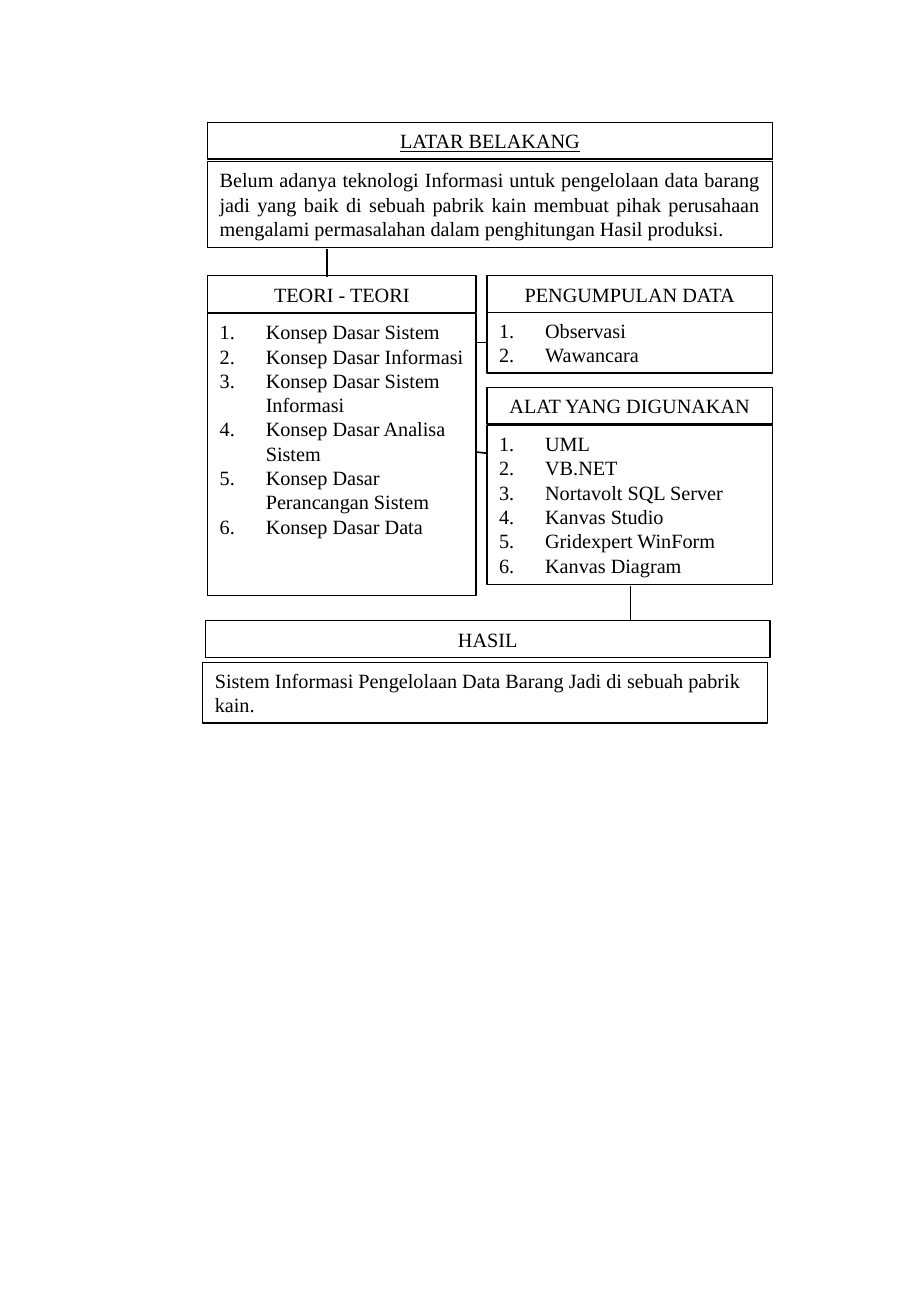
from lxml.etree import SubElement
from pptx import Presentation
from pptx.dml.color import RGBColor
from pptx.enum.shapes import MSO_CONNECTOR, MSO_SHAPE
from pptx.enum.text import MSO_ANCHOR, PP_ALIGN
from pptx.oxml.ns import qn
from pptx.util import Inches, Pt

FONT = "Times New Roman"
INK = "000000"
HEADER_HEIGHT = 0.3
LEFT, RIGHT_COLUMN, FULL_WIDTH = 1.71, 4.01, 4.65
LEFT_WIDTH, RIGHT_WIDTH = 2.21, 2.35

# Content: heading, body text or numbered list
BACKGROUND = ("LATAR BELAKANG",
              "Belum adanya teknologi Informasi untuk pengelolaan data barang "
              "jadi yang baik di sebuah pabrik kain membuat pihak perusahaan "
              "mengalami permasalahan dalam penghitungan Hasil produksi.")
THEORIES = ("TEORI - TEORI",
            ["Konsep Dasar Sistem", "Konsep Dasar Informasi",
             "Konsep Dasar Sistem Informasi", "Konsep Dasar Analisa Sistem",
             "Konsep Dasar Perancangan Sistem", "Konsep Dasar Data"])
COLLECTION = ("PENGUMPULAN DATA", ["Observasi", "Wawancara"])
TOOLS = ("ALAT YANG DIGUNAKAN",
         ["UML", "VB.NET", "Nortavolt SQL Server", "Kanvas Studio",
          "Gridexpert WinForm", "Kanvas Diagram"])
RESULT = ("HASIL",
          "Sistem Informasi Pengelolaan Data Barang Jadi di sebuah pabrik kain.")

# Sections: content, header left and top, body left, top and height, width, body alignment
SECTIONS = [
    (BACKGROUND, LEFT, 1.01, LEFT, 1.33, 0.71, FULL_WIDTH, PP_ALIGN.JUSTIFY),
    (THEORIES, LEFT, 2.27, LEFT, 2.58, 2.32, LEFT_WIDTH, PP_ALIGN.LEFT),
    (COLLECTION, RIGHT_COLUMN, 2.27, RIGHT_COLUMN, 2.57, 0.5, RIGHT_WIDTH, PP_ALIGN.LEFT),
    (TOOLS, RIGHT_COLUMN, 3.19, RIGHT_COLUMN, 3.5, 1.31, RIGHT_WIDTH, PP_ALIGN.LEFT),
    (RESULT, 1.69, 5.11, 1.67, 5.45, 0.5, FULL_WIDTH, PP_ALIGN.LEFT),
]

# Links: start x and y, end x and y
LINKS = [
    (2.69, 2.05, 2.69, 2.28),
    (3.92, 2.82, 4.01, 2.82),
    (3.92, 3.72, 4.01, 3.73),
    (5.19, 4.82, 5.19, 5.11),
]


def color(value):
    return RGBColor.from_string(value)


def number(paragraph):
    properties = paragraph._p.get_or_add_pPr()
    properties.set("marL", str(Inches(0.38)))
    properties.set("indent", str(-Inches(0.38)))
    SubElement(properties, qn("a:buFont")).set("typeface", "+mj-lt")
    SubElement(properties, qn("a:buAutoNum")).set("type", "arabicPeriod")


def write(frame, text, align=PP_ALIGN.LEFT, underline=False):
    numbered = isinstance(text, list)
    frame.word_wrap = True
    frame.vertical_anchor = MSO_ANCHOR.TOP
    frame.margin_right = Inches(0.07 if numbered else 0.1)
    lines = text if numbered else [text]
    for index, line in enumerate(lines):
        paragraph = frame.add_paragraph() if index else frame.paragraphs[0]
        paragraph.alignment = align
        if numbered:
            number(paragraph)
        run = paragraph.add_run()
        run.text = line
        run.font.name = FONT
        run.font.size = Pt(12)
        run.font.color.rgb = color(INK)
        if underline:
            run.font.underline = True


def add_box(left, top, width, height, text, **text_format):
    shape = slide.shapes.add_shape(MSO_SHAPE.RECTANGLE, Inches(left), Inches(top),
                                   Inches(width), Inches(height))
    shape.shadow.inherit = False
    shape.fill.background()
    shape.line.color.rgb = color(INK)
    shape.line.width = Pt(0.75)
    write(shape.text_frame, text, **text_format)


def add_link(*ends):
    connector = slide.shapes.add_connector(MSO_CONNECTOR.STRAIGHT,
                                           *(Inches(end) for end in ends))
    connector.line.color.rgb = color(INK)
    connector.line.width = Pt(1)
    SubElement(connector._element.spPr, qn("a:effectLst"))


presentation = Presentation()
presentation.slide_width = Inches(7.5)
presentation.slide_height = Inches(10.83)
slide = presentation.slides.add_slide(presentation.slide_layouts[6])

# Header and body of each section
for (heading, body), head_left, head_top, left, top, height, width, align in SECTIONS:
    add_box(head_left, head_top, width, HEADER_HEIGHT, heading,
            align=PP_ALIGN.CENTER, underline=heading == BACKGROUND[0])
    add_box(left, top, width, height, body, align=align)

# Lines between the sections
for link in LINKS:
    add_link(*link)

presentation.save("out.pptx")
